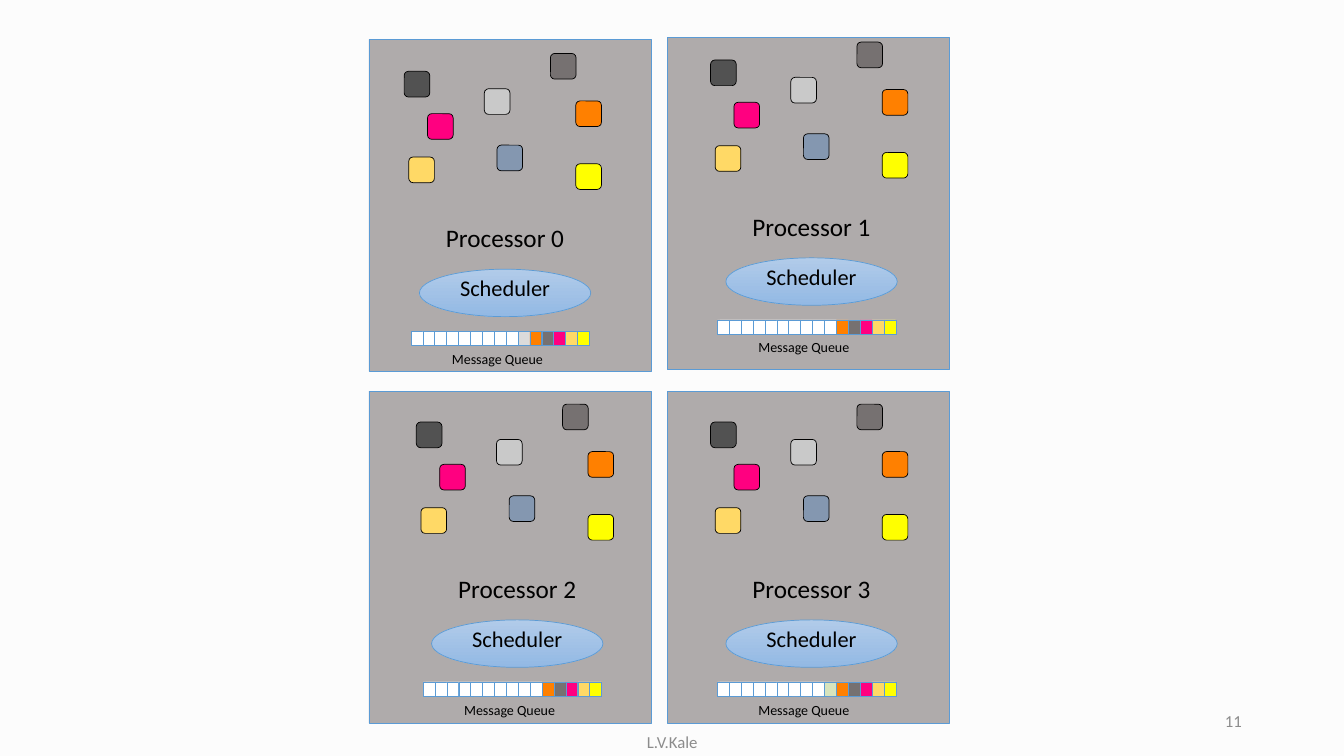
from pptx import Presentation
from pptx.dml.color import RGBColor
from pptx.enum.shapes import MSO_SHAPE
from pptx.enum.text import MSO_ANCHOR, MSO_AUTO_SIZE, PP_ALIGN
from pptx.util import Pt

COLORS = {
    "background": "FCFCFC", "panel": "AFABAB", "border": "5B9BD5",
    "black": "000000", "white": "FFFFFF", "footer": "8C8C8C",
    "charcoal": "525252", "gray": "767171", "light": "C9C9C9",
    "pink": "FF0080", "gold": "FFD966", "blue": "8497B0",
    "orange": "FF8000", "yellow": "FFFF00", "silver": "DBDBDB",
    "green": "D7E4BD", "oval top": "B1CBE9", "oval bottom": "93B9E4",
}
FONT = "Calibri"

# name, panel left and top, content left and top, colour of the tenth queue slot
PROCESSORS = [
    ("Processor 0", (263.5, 28.1), (288.7, 38.2), "silver"),
    ("Processor 1", (476.6, 26.8), (507.6, 30.1), "white"),
    ("Processor 2", (263.5, 279.4), (297.4, 288.7), "white"),
    ("Processor 3", (476.6, 279.4), (507.6, 288.7), "green"),
]
PANEL_SIZE = (201.6, 237.2)

# offsets from the content corner
OBJECTS = {
    "charcoal": (0, 12.8), "gray": (104.5, 0), "light": (57.3, 25.2),
    "pink": (16.7, 43), "gold": (3.3, 74), "blue": (66.3, 65.5),
    "orange": (122.6, 33.9), "yellow": (122.6, 78.8),
}
OBJECT_SIZE = 18.3
QUEUED = ["orange", "gray", "pink", "gold", "yellow"]
EMPTY_SLOTS = 9
SLOT_PITCH, SLOT_HEIGHT = 8.5, 10.1


def add_box(shapes, kind, x, y, w, h, fill, line="border"):
    sp = shapes.add_shape(kind, Pt(x), Pt(y), Pt(w), Pt(h))
    sp.shadow.inherit = False
    sp.fill.solid()
    sp.fill.fore_color.rgb = RGBColor.from_string(COLORS[fill])
    sp.line.color.rgb = RGBColor.from_string(COLORS[line])
    sp.line.width = Pt(0.5)
    return sp


def add_text(shapes, text, x, y, w, h, size, color="black", align=PP_ALIGN.CENTER):
    tf = shapes.add_textbox(Pt(x), Pt(y), Pt(w), Pt(h)).text_frame
    tf.word_wrap = True
    tf.text = text
    p = tf.paragraphs[0]
    p.alignment = align
    font = p.runs[0].font
    font.name, font.size = FONT, Pt(size)
    font.color.rgb = RGBColor.from_string(COLORS[color])
    return tf


def add_label(shapes, *args):
    add_text(shapes, *args).auto_size = MSO_AUTO_SIZE.SHAPE_TO_FIT_TEXT


def add_scheduler(shapes, x, y):
    oval = add_box(shapes, MSO_SHAPE.OVAL, x + 10.9, y + 154.1, 122.4, 33.9, "oval top")
    oval.fill.gradient()
    oval.fill.gradient_angle = 270
    for stop, name in zip(oval.fill.gradient_stops, ("oval top", "oval bottom")):
        stop.color.rgb = RGBColor.from_string(COLORS[name])
    add_label(shapes, "Scheduler", x + 3.3, y + 154.1, 137.5, 26.6, 16)


def add_queue(shapes, x, y, tenth):
    queue = shapes.add_group_shape().shapes
    top = y + 198.4
    add_box(queue, MSO_SHAPE.RECTANGLE, x + 6.8, top, 125.3, SLOT_HEIGHT, "white")
    for i, color in enumerate(["white"] * EMPTY_SLOTS + [tenth] + QUEUED):
        add_box(queue, MSO_SHAPE.RECTANGLE, x + 4.9 + i * SLOT_PITCH, top,
                SLOT_PITCH, SLOT_HEIGHT, color)
    add_label(shapes, "Message Queue", x + 1.4, y + 208.5, 130.3, 19.4, 10)


def add_processor(shapes, name, panel, content, tenth):
    x, y = content
    add_box(shapes, MSO_SHAPE.RECTANGLE, *panel, *PANEL_SIZE, "panel")
    for color, (dx, dy) in OBJECTS.items():
        add_box(shapes, MSO_SHAPE.ROUNDED_RECTANGLE, x + dx, y + dy,
                OBJECT_SIZE, OBJECT_SIZE, color, "black")
    add_label(shapes, name, x + 3.3, y + 117.4, 137.5, 28.8, 18)
    add_scheduler(shapes, x, y)
    add_queue(shapes, x, y, tenth)


def main():
    prs = Presentation()
    prs.slide_width, prs.slide_height = Pt(960), Pt(540)
    s = prs.slides.add_slide(prs.slide_layouts[6])
    s.background.fill.solid()
    s.background.fill.fore_color.rgb = RGBColor.from_string(COLORS["background"])

    for processor in PROCESSORS:
        add_processor(s.shapes, *processor)

    author = add_text(s.shapes, "L.V.Kale", 318.2, 515.5, 324, 28.8, 12, "footer")
    number = add_text(s.shapes, "11", 678.2, 500.4, 216, 28.8, 12, "footer", PP_ALIGN.RIGHT)
    for tf in (author, number):
        tf.vertical_anchor = MSO_ANCHOR.MIDDLE
    prs.save("out.pptx")


if __name__ == "__main__":
    main()
